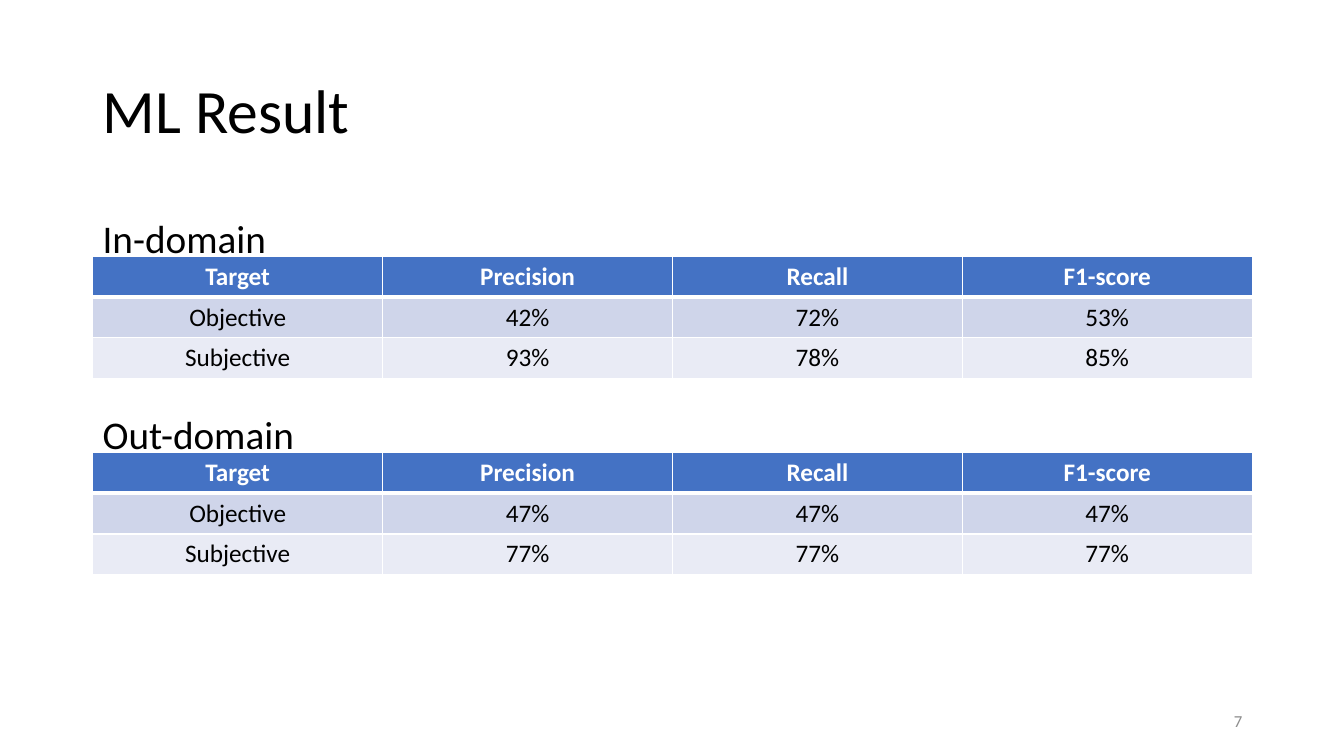
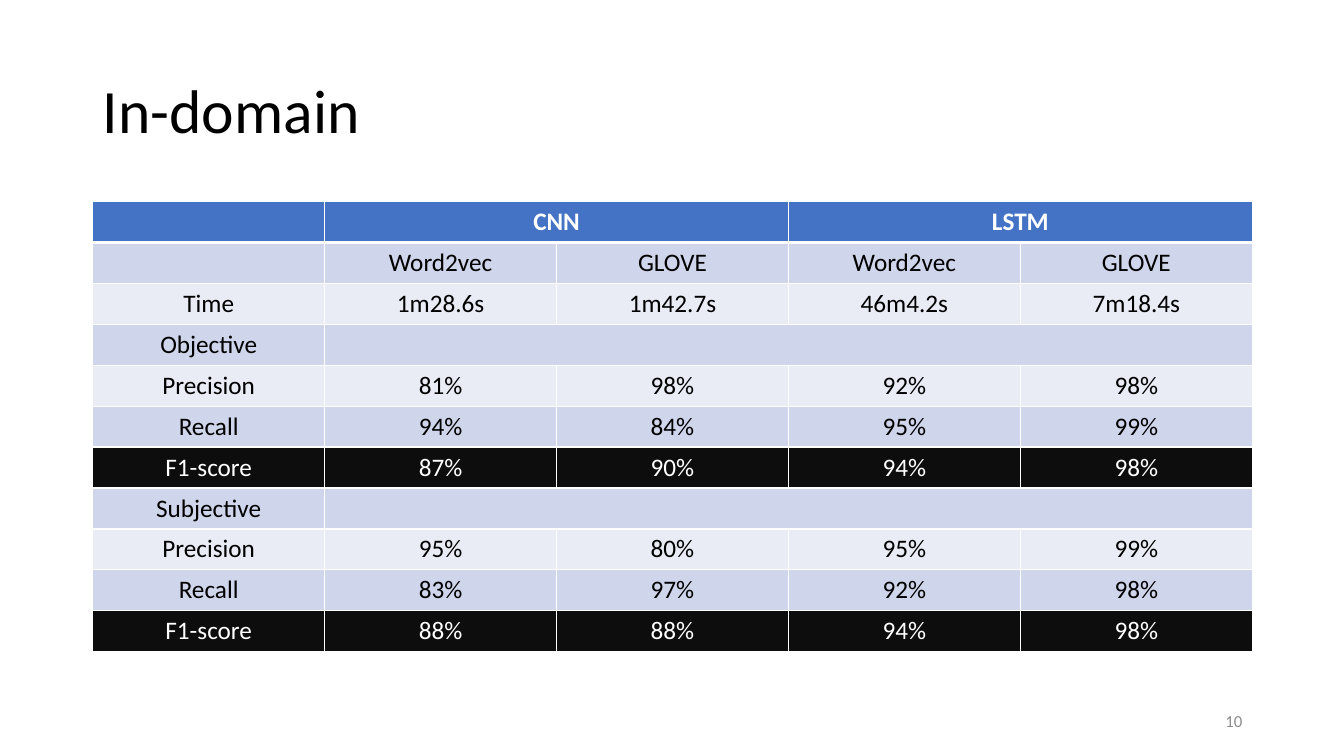
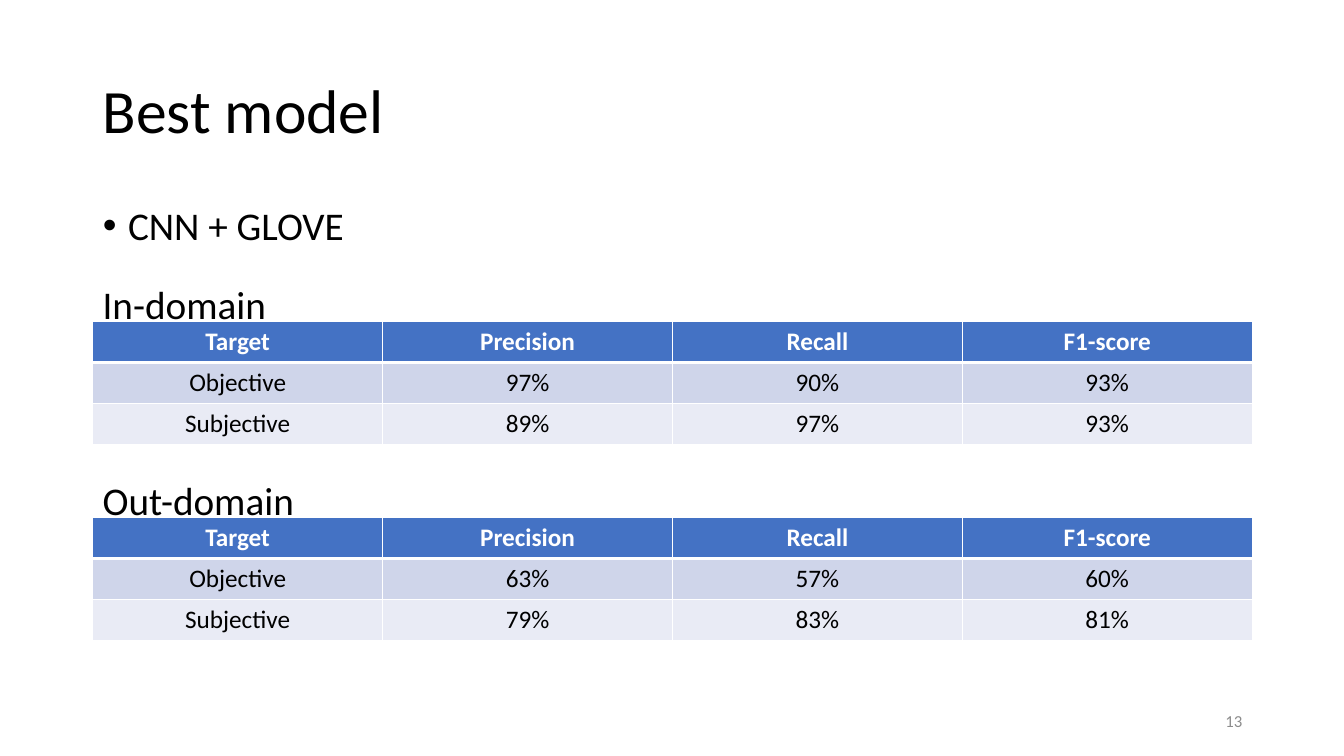
from lxml import etree
from pptx import Presentation
from pptx import util as u
from pptx.dml.color import RGBColor
from pptx.enum import text
from pptx.oxml.ns import qn

WIDE, HIGH = 13.33, 7.5
COLS, ROWS = 12, 75
LEFT, SPAN = 0.92, 11.5
FONT = "Calibri"
BLACK, WHITE, GREY = "000000", "FFFFFF", "8C8C8C"
BLUE, DARK = "4472C4", "0D0D0D"
BANDS = ["E9EBF5", "CFD5EA"]
HEAD = ["Target", "Precision", "Recall", "F1-score"]
ALIGN = text.PP_ALIGN


def tint(code):
    """Turn a hex string into a colour."""
    return RGBColor.from_string(code)


def col(num):
    """Width of a number of grid columns."""
    return u.Inches(num * SPAN / COLS)


def row(num):
    """Height of a number of grid rows."""
    return u.Inches(num * HIGH / ROWS)


def edge(side, width):
    """Make one white cell border."""
    line = etree.Element(qn("a:ln" + side), w=str(u.Pt(width)))
    fill = etree.SubElement(line, qn("a:solidFill"))
    etree.SubElement(fill, qn("a:srgbClr"), val=WHITE)
    return line


class Deck:
    """Holds the style and the current slide."""

    def __init__(self):
        """Start an empty wide deck."""
        self.prs = Presentation()
        self.prs.slide_width = u.Inches(WIDE)
        self.prs.slide_height = u.Inches(HIGH)
        self.page = None

    def say(self, para, words, size, color=BLACK, bold=False, align=ALIGN.LEFT):
        """Add one styled run to a paragraph."""
        para.alignment = align
        run = para.add_run()
        run.text = words
        run.font.name = FONT
        run.font.size = u.Pt(size)
        run.font.bold = bold
        run.font.color.rgb = tint(color)

    def place(self, shape, x, y, w, h):
        """Put a shape on the grid."""
        shape.left, shape.top = u.Inches(LEFT) + col(x), row(y)
        shape.width, shape.height = col(w), row(h)

    def frame(self, shape, anchor):
        """Prepare a text frame and return its first paragraph."""
        frame = shape.text_frame
        frame.word_wrap = True
        frame.auto_size = text.MSO_AUTO_SIZE.NONE
        frame.vertical_anchor = anchor
        return frame.paragraphs[0]

    def slide(self, title, number, layout="Title Only"):
        """Add a slide with its title and page number."""
        plan = self.prs.slide_layouts.get_by_name(layout)
        self.page = self.prs.slides.add_slide(plan)
        head = self.page.shapes.title
        self.place(head, 0, 4, COLS, 14.5)
        para = self.frame(head, text.MSO_ANCHOR.MIDDLE)
        para.line_spacing = 0.9
        self.say(para, title, 44)
        self.label(str(number), 8.87, 69.5, 3.13, 4, 12, GREY,
                   ALIGN.RIGHT, text.MSO_ANCHOR.MIDDLE)

    def label(self, words, x, y, w, h, size, color=BLACK,
              align=ALIGN.LEFT, anchor=text.MSO_ANCHOR.TOP):
        """Add a text box."""
        box = self.page.shapes.add_textbox(0, 0, 0, 0)
        self.place(box, x, y, w, h)
        self.say(self.frame(box, anchor), words, size, color, align=align)

    def bullets(self, items):
        """Fill the body placeholder with a list."""
        body = self.page.placeholders[1]
        self.place(body, 0, 20, COLS, 47.6)
        para = self.frame(body, text.MSO_ANCHOR.TOP)
        for num, item in enumerate(items):
            if num:
                para = body.text_frame.add_paragraph()
            para.line_spacing, para.space_before = 0.9, u.Pt(10)
            props = para._p.get_or_add_pPr()
            props.set("marL", str(u.Inches(0.25)))
            props.set("indent", str(-u.Inches(0.25)))
            etree.SubElement(props, qn("a:buChar"), char="•")
            self.say(para, item, 28)

    def cell(self, cell, words, r, fill):
        """Style one table cell and add its text."""
        cell.fill.solid()
        cell.fill.fore_color.rgb = tint(fill)
        sides = {"L": 1, "R": 1, "T": 3 if r == 1 else 1, "B": 1 if r else 3}
        for num, (side, width) in enumerate(sides.items()):
            cell._tc.tcPr.insert(num, edge(side, width))
        if words:
            color = BLACK if fill in BANDS else WHITE
            para = cell.text_frame.paragraphs[0]
            self.say(para, words, 18, color, r == 0, ALIGN.CENTER)

    def table(self, data, y, strong=()):
        """Add a banded table; None joins a cell to the one on its left."""
        wide, tall = len(data[0]), 4.06
        grid = self.page.shapes.add_table(
            len(data), wide, u.Inches(LEFT), row(y),
            col(COLS), row(tall * len(data))).table
        for part in grid.columns:
            part.width = col(COLS / wide)
        for r, line in enumerate(data):
            grid.rows[r].height = row(tall)
            fill = DARK if r in strong else BANDS[r % 2] if r else BLUE
            for c, words in enumerate(line):
                self.cell(grid.cell(r, c), words, r, fill)
            starts = [c for c, words in enumerate(line) if words is not None]
            for a, b in zip(starts, starts[1:] + [wide]):
                if b - a > 1:
                    grid.cell(r, a).merge(grid.cell(r, b - 1))

    def scores(self, y, results):
        """Stack captioned score tables at an equal step."""
        for num, (name, first, second) in enumerate(results):
            top = y + 19.45 * num
            self.table([HEAD, ["Objective"] + first,
                        ["Subjective"] + second], top)
            self.label(name, 0, top - 4.6, 3.44, 5.7, 28)


deck = Deck()

deck.slide("ML Result", 7)
deck.scores(25.4, [
    ("In-domain", ["42%", "72%", "53%"], ["93%", "78%", "85%"]),
    ("Out-domain", ["47%", "47%", "47%"], ["77%", "77%", "77%"]),
])

deck.slide("In-domain", 10)
deck.table([
    ["", "CNN", None, "LSTM", None],
    ["", "Word2vec", "GLOVE", "Word2vec", "GLOVE"],
    ["Time", "1m28.6s", "1m42.7s", "46m4.2s", "7m18.4s"],
    ["Objective", "", None, None, None],
    ["Precision", "81%", "98%", "92%", "98%"],
    ["Recall", "94%", "84%", "95%", "99%"],
    ["F1-score", "87%", "90%", "94%", "98%"],
    ["Subjective", "", None, None, None],
    ["Precision", "95%", "80%", "95%", "99%"],
    ["Recall", "83%", "97%", "92%", "98%"],
    ["F1-score", "88%", "88%", "94%", "98%"],
], 20, strong=(6, 10))

deck.slide("Best model", 13, "Title and Content")
deck.bullets(["CNN + GLOVE"])
deck.scores(31.9, [
    ("In-domain", ["97%", "90%", "93%"], ["89%", "97%", "93%"]),
    ("Out-domain", ["63%", "57%", "60%"], ["79%", "83%", "81%"]),
])

deck.prs.save("out.pptx")
